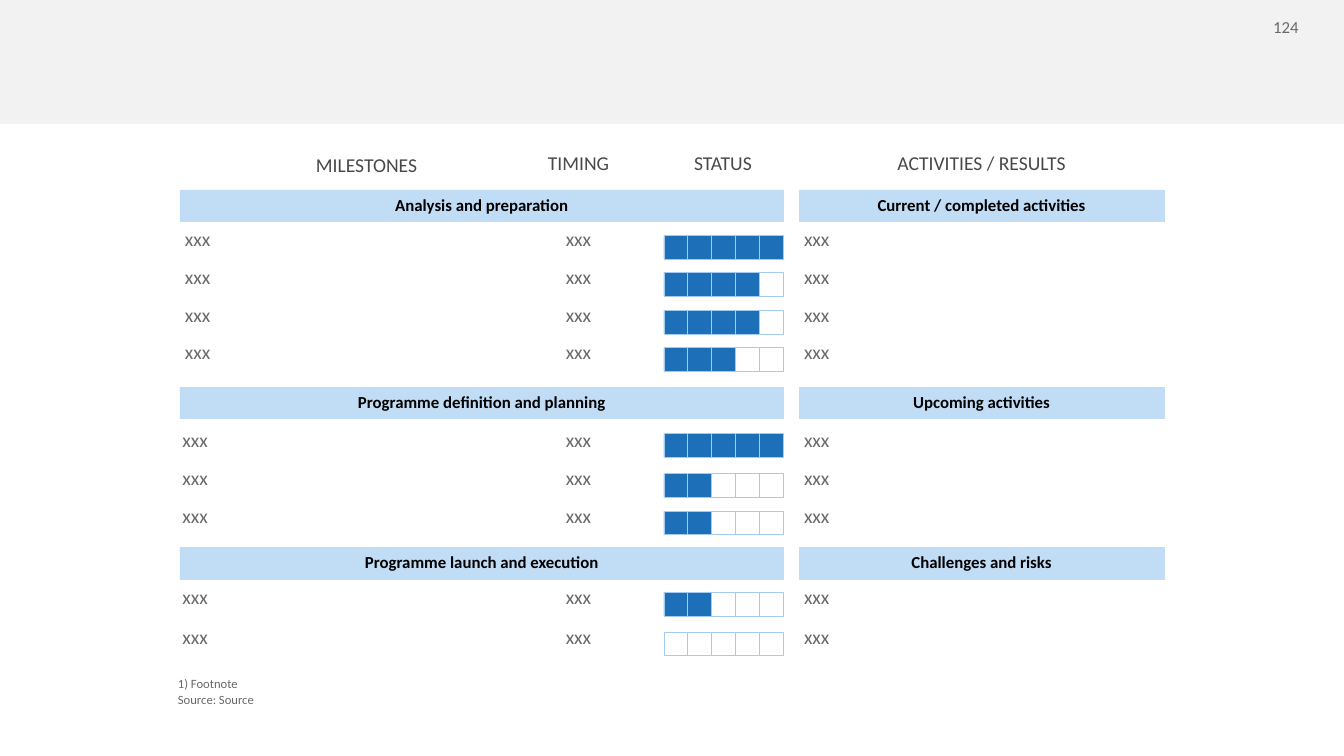
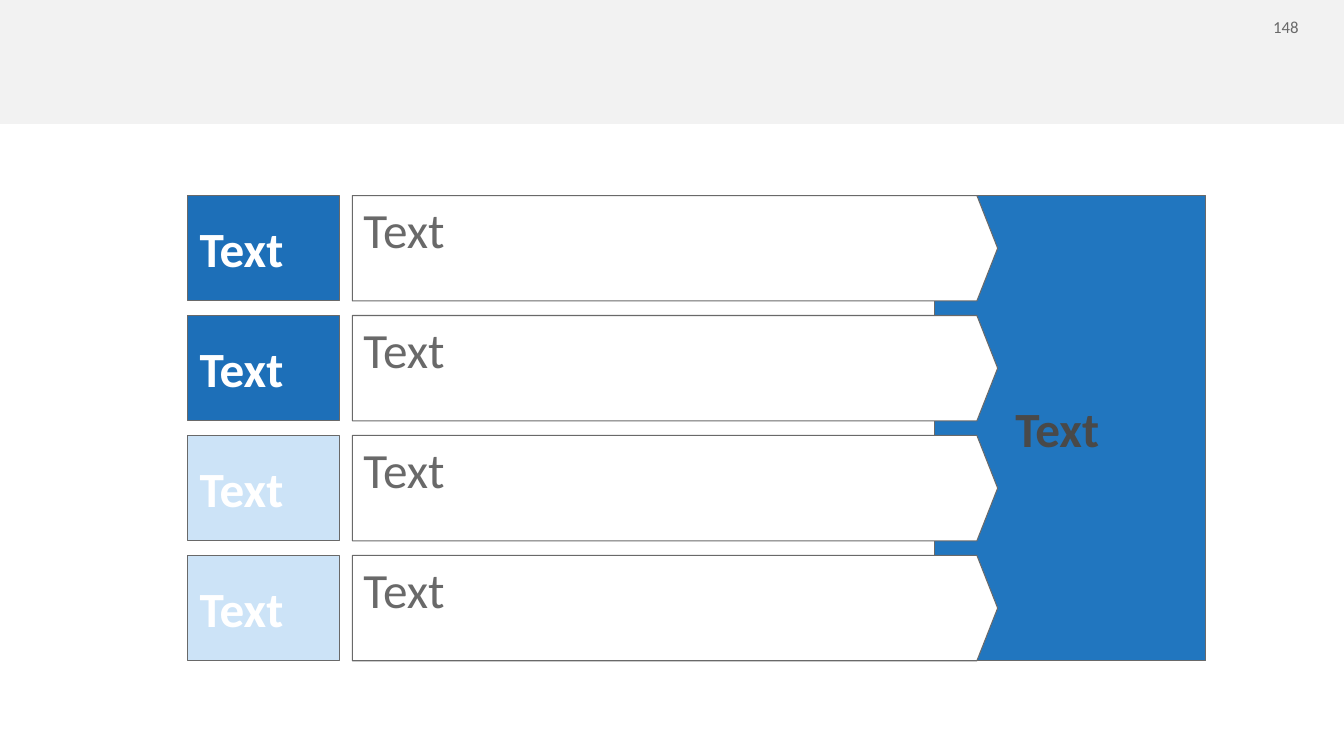
from dataclasses import dataclass

from pptx import Presentation
from pptx.dml.color import RGBColor
from pptx.enum.shapes import MSO_SHAPE
from pptx.enum.text import MSO_ANCHOR, MSO_AUTO_SIZE, PP_ALIGN
from pptx.util import Pt

EMU_PER_PX = 9144  # 100 px to the inch
SLIDE_WIDTH, SLIDE_HEIGHT = 2666, 1500


@dataclass(frozen=True)
class Theme:
    font: str = "Calibri"
    band: str = "F2F2F2"
    body: str = "696969"
    heading: str = "494949"
    black: str = "000000"
    white: str = "FFFFFF"
    section: str = "C1DDF5"
    done: str = "1D6FB8"
    cell_line: str = "A3CBF0"
    panel: str = "2176BF"
    pale: str = "CCE3F7"
    footnote_size: float = 18
    section_size: float = 24
    body_size: float = 28
    large_size: float = 70.3


THEME = Theme()


def px(length):
    return round(length * EMU_PER_PX)


def write_text(shape, text, *, size, color, bold=False, align=PP_ALIGN.LEFT,
               anchor=MSO_ANCHOR.TOP, insets=(10, 5), wrap=True, grow=False,
               line_spacing=None):
    """Fill the shape with text, one paragraph per line; insets are (side, top and bottom)."""
    frame = shape.text_frame
    frame.word_wrap = wrap
    frame.auto_size = MSO_AUTO_SIZE.SHAPE_TO_FIT_TEXT if grow else MSO_AUTO_SIZE.NONE
    frame.vertical_anchor = anchor
    frame.margin_left = frame.margin_right = px(insets[0])
    frame.margin_top = frame.margin_bottom = px(insets[1])
    frame.text = text
    for paragraph in frame.paragraphs:
        paragraph.alignment = align
        if line_spacing:
            paragraph.line_spacing = line_spacing
        for run in paragraph.runs:
            run.font.name = THEME.font
            run.font.size = Pt(size)
            run.font.bold = bold
            run.font.color.rgb = RGBColor.from_string(color)


class Deck:
    def __init__(self, theme):
        self.theme = theme
        self.presentation = Presentation()
        self.presentation.slide_width = px(SLIDE_WIDTH)
        self.presentation.slide_height = px(SLIDE_HEIGHT)
        self.slide = None

    def new_slide(self, number):
        """Start a slide with the grey title band and its page number."""
        blank = self.presentation.slide_layouts[6]
        self.slide = self.presentation.slides.add_slide(blank)
        self.shape(0, 0, SLIDE_WIDTH, 246, self.theme.band)
        self.text(str(number), 2468, 24, 128, 61, size=self.theme.section_size,
                  color=self.theme.body, align=PP_ALIGN.RIGHT, insets=(20, 10), grow=True)

    def shape(self, left, top, width, height, fill, line=None, line_width=1.0,
              kind=MSO_SHAPE.RECTANGLE):
        shape = self.slide.shapes.add_shape(kind, px(left), px(top), px(width), px(height))
        shape.shadow.inherit = False
        shape.fill.solid()
        shape.fill.fore_color.rgb = RGBColor.from_string(fill)
        if line:
            shape.line.color.rgb = RGBColor.from_string(line)
            shape.line.width = Pt(line_width)
        else:
            shape.line.fill.background()
        return shape

    def text(self, text, left, top, width, height, **text_format):
        box = self.slide.shapes.add_textbox(px(left), px(top), px(width), px(height))
        write_text(box, text, **text_format)

    def column_heading(self, text, left, width, line_spacing=0.95):
        self.text(text, left, 293, width, 65, size=self.theme.body_size,
                  color=self.theme.heading, align=PP_ALIGN.CENTER, insets=(20, 10),
                  grow=True, line_spacing=line_spacing)

    def section_bar(self, text, left, top, width):
        bar = self.shape(left, top, width, 63, self.theme.section, self.theme.section)
        write_text(bar, text, size=self.theme.section_size, color=self.theme.black,
                   bold=True, align=PP_ALIGN.CENTER, anchor=MSO_ANCHOR.MIDDLE,
                   insets=(16, 16), wrap=False, line_spacing=0.95)

    def entry(self, left, top, align=PP_ALIGN.LEFT):
        self.text("xxx", left, top, 71, 57, size=self.theme.body_size,
                  color=self.theme.body, align=align, wrap=False, grow=True)

    def progress(self, left, top, done, steps=5):
        for step in range(steps):
            fill = self.theme.done if step < done else self.theme.white
            self.shape(left + round(step * 47.25), top, 47, 47, fill,
                       self.theme.cell_line, 0.75)

    def outlined(self, left, top, width, height, fill, kind=MSO_SHAPE.RECTANGLE):
        return self.shape(left, top, width, height, fill, self.theme.body, 1.46, kind)

    def large_text(self, text, left, top, width, color, bold=True, anchor=MSO_ANCHOR.MIDDLE):
        self.text(text, left, top, width, 59, size=self.theme.large_size, color=color,
                  bold=bold, anchor=anchor, insets=(0, 0))


def add_milestone_status(deck):
    milestones_left, milestones_width = 357, 1197
    activities_left, activities_width = 1585, 724
    # Each row: top of its texts, top of its progress cells, steps done
    sections = [
        ("Analysis and preparation", "Current / completed activities", 377, 357,
         [(446, 467, 5), (521, 541, 4), (596, 616, 4), (670, 690, 3)]),
        ("Programme definition and planning", "Upcoming activities", 768, 352,
         [(844, 860, 5), (919, 939, 2), (994, 1014, 2)]),
        ("Programme launch and execution", "Challenges and risks", 1086, 352,
         [(1155, 1175, 2), (1234, 1254, 0)]),
    ]
    deck.new_slide(124)
    deck.text("1) Footnote\nSource: Source", 333, 1331, 1998, 81,
              size=deck.theme.footnote_size, color=deck.theme.body,
              anchor=MSO_ANCHOR.BOTTOM, insets=(20, 10), grow=True)
    deck.column_heading("MILESTONES", milestones_left, 740, line_spacing=None)
    deck.column_heading("TIMING", 1049, 197)
    deck.column_heading("STATUS", 1304, 260)
    deck.column_heading("ACTIVITIES / RESULTS", activities_left, activities_width)
    for phase, activities, top, entry_left, rows in sections:
        deck.section_bar(phase, milestones_left, top, milestones_width)
        deck.section_bar(activities, activities_left, top, activities_width)
        for text_top, cells_top, done in rows:
            deck.entry(entry_left, text_top)
            deck.entry(1112, text_top, PP_ALIGN.CENTER)
            deck.progress(1317, cells_top, done)
            deck.entry(activities_left, text_top)


def add_arrows_to_conclusion(deck):
    theme = deck.theme
    first_top, row_height, pitch = 388, 209, 238
    label_fills = [theme.done, theme.done, theme.pale, theme.pale]
    deck.new_slide(148)
    deck.outlined(1853, first_top, 539, 3 * pitch + row_height, theme.panel)
    for row, label_fill in enumerate(label_fills):
        top = first_top + row * pitch
        deck.outlined(372, top, 301, row_height, label_fill)
        deck.large_text("Text", 396, top + 75, 277, theme.white)
        arrow = deck.outlined(699, top, 1280, row_height, theme.white, MSO_SHAPE.PENTAGON)
        arrow.adjustments[0] = 0.197
        deck.large_text("Text", 721, top + 7, 1132, theme.body, bold=False,
                        anchor=MSO_ANCHOR.TOP)
    deck.large_text("Text", 2014, 820, 378, theme.heading)


def main():
    deck = Deck(THEME)
    add_milestone_status(deck)
    add_arrows_to_conclusion(deck)
    deck.presentation.save("out.pptx")


if __name__ == "__main__":
    main()
